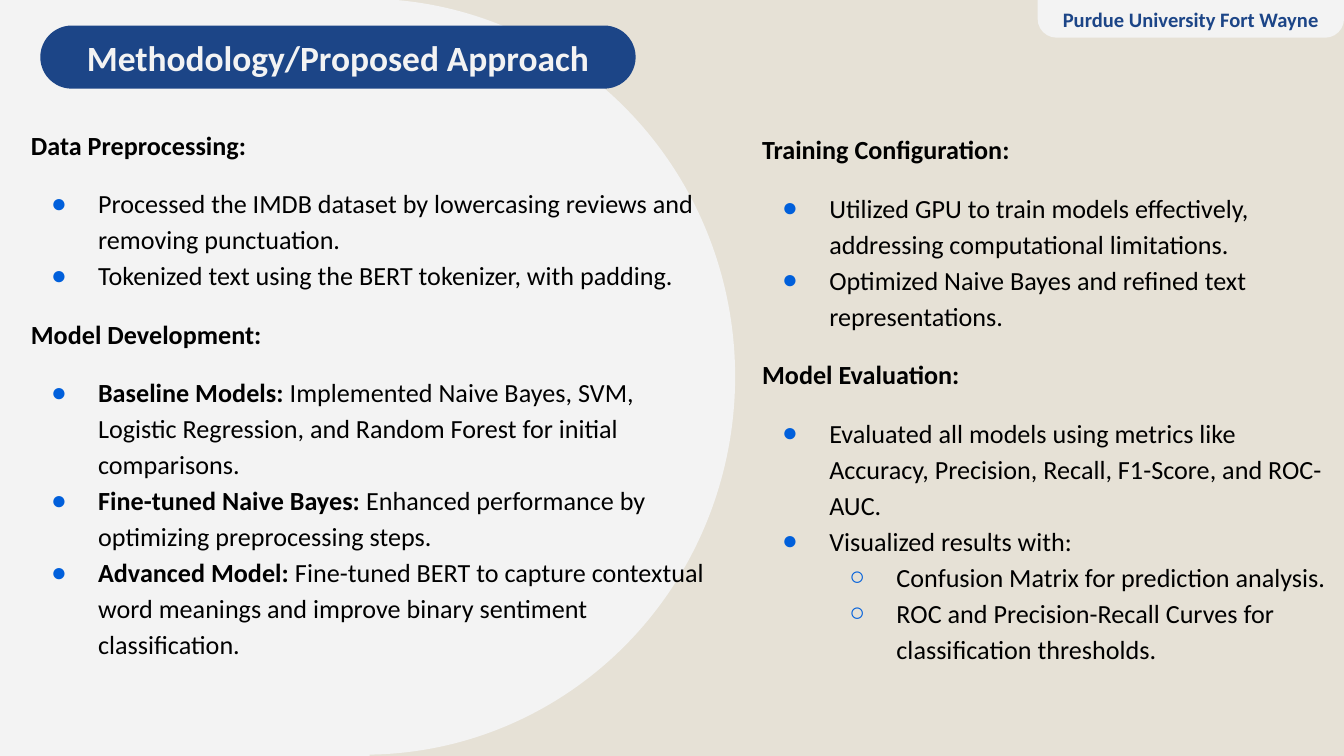
from lxml.etree import SubElement
from pptx import Presentation
from pptx.dml.color import RGBColor
from pptx.enum.shapes import MSO_SHAPE
from pptx.enum.text import MSO_ANCHOR, MSO_AUTO_SIZE, PP_ALIGN
from pptx.oxml.ns import qn
from pptx.util import Inches, Pt

SAND = RGBColor(0xE6, 0xE1, 0xD6)
LIGHT = RGBColor(0xF3, 0xF3, 0xF3)
NAVY = RGBColor(0x1C, 0x45, 0x87)
BLUE = RGBColor(0x00, 0x5F, 0xDB)
BLACK = RGBColor(0x00, 0x00, 0x00)
FONT = "Calibri"
BULLETS = "●○"

# Each entry: level (None for a heading), bold text, plain text
LEFT = [
    (None, "Data Preprocessing:", ""),
    (0, "", "Processed the IMDB dataset by lowercasing reviews and removing punctuation."),
    (0, "", "Tokenized text using the BERT tokenizer, with padding."),
    (None, "Model Development:", ""),
    (0, "Baseline Models:", " Implemented Naive Bayes, SVM, Logistic Regression, "
        "and Random Forest for initial comparisons."),
    (0, "Fine-tuned Naive Bayes:", " Enhanced performance by optimizing preprocessing steps."),
    (0, "Advanced Model:", " Fine-tuned BERT to capture contextual word meanings "
        "and improve binary sentiment classification."),
]
RIGHT = [
    (None, "Training Configuration:", ""),
    (0, "", "Utilized GPU to train models effectively, addressing computational limitations."),
    (0, "", "Optimized Naive Bayes and refined text representations."),
    (None, "Model Evaluation:", ""),
    (0, "", "Evaluated all models using metrics like Accuracy, Precision, Recall, "
        "F1-Score, and ROC-AUC."),
    (0, "", "Visualized results with:"),
    (1, "", "Confusion Matrix for prediction analysis."),
    (1, "", "ROC and Precision-Recall Curves for classification thresholds."),
]


def add_panel(s, kind, box, color):
    sp = s.shapes.add_shape(kind, *map(Inches, box))
    sp.shadow.inherit = False
    sp.fill.solid()
    sp.fill.fore_color.rgb = color
    sp.line.fill.background()
    return sp


def place(sp, box):
    sp.left, sp.top, sp.width, sp.height = map(Inches, box)


def setup_frame(tf, anchor):
    tf.word_wrap = True
    tf.auto_size = MSO_AUTO_SIZE.NONE
    tf.vertical_anchor = anchor
    tf.margin_left = tf.margin_right = tf.margin_top = tf.margin_bottom = Inches(0.1)


def add_run(p, text, size, color, bold):
    r = p.add_run()
    r.text = text
    r.font.name = FONT
    r.font.size = Pt(size)
    r.font.bold = bold
    r.font.color.rgb = color


def add_label(sp, text, size, color):
    setup_frame(sp.text_frame, MSO_ANCHOR.MIDDLE)
    p = sp.text_frame.paragraphs[0]
    p.alignment = PP_ALIGN.CENTER
    add_run(p, text, size, color, True)


def set_bullet(p, level):
    pPr = p._p.get_or_add_pPr()
    if level is None:
        pPr.set("marL", "0")
        pPr.set("indent", "0")
        SubElement(pPr, qn("a:buNone"))
        return
    p.level = level
    pPr.set("marL", str(Inches(0.5 * (level + 1))))
    pPr.set("indent", str(Inches(-0.35)))
    clr = SubElement(pPr, qn("a:buClr"))
    SubElement(clr, qn("a:srgbClr")).set("val", str(BLUE))
    SubElement(pPr, qn("a:buChar")).set("char", BULLETS[level])


def add_background(s, width, height):
    s.background.fill.solid()
    s.background.fill.fore_color.rgb = SAND
    add_panel(s, MSO_SHAPE.RECTANGLE, (0, 0, 1.27, height), LIGHT)
    add_panel(s, MSO_SHAPE.OVAL, (-0.04, -0.01, 5.51, height), LIGHT)
    add_panel(s, MSO_SHAPE.RECTANGLE, (0.57, -0.01, 2.18, height + 0.01), LIGHT)


def add_university_tab(s, box):
    tab = add_panel(s, MSO_SHAPE.ROUND_2_SAME_RECTANGLE, box, LIGHT)
    tab.adjustments[0] = 0.5
    tab.rotation = 180
    label = s.shapes.add_textbox(*map(Inches, box))
    add_label(label, "Purdue University Fort Wayne", 11, NAVY)


def add_title(s, box):
    pill = add_panel(s, MSO_SHAPE.ROUNDED_RECTANGLE, box, NAVY)
    pill.adjustments[0] = 0.5
    title = s.shapes.title
    place(title, box)
    add_label(title, "Methodology/Proposed Approach", 19, LIGHT)
    s.shapes.element.append(title.element)  # bring in front of the pill


def add_column(s, body, box, items, first_spacing):
    place(body, box)
    tf = body.text_frame
    setup_frame(tf, MSO_ANCHOR.TOP)
    previous = None
    for i, (level, lead, text) in enumerate(items):
        p = tf.add_paragraph() if i else tf.paragraphs[0]
        set_bullet(p, level)
        # Gaps open around headings only
        gap = i and (level is None or previous is None)
        p.space_before = Pt(12 if gap else 0)
        p.line_spacing = 1.15 if i else first_spacing
        if lead:
            add_run(p, lead, 14, BLACK, True)
        if text:
            add_run(p, text, 14, BLACK, False)
        previous = level
    s.shapes.element.append(body.element)  # bring in front of the background


def main():
    width = 10
    height = width * 9 / 16
    prs = Presentation()
    prs.slide_width, prs.slide_height = Inches(width), Inches(height)
    s = prs.slides.add_slide(prs.slide_layouts[3])
    left, right = s.placeholders[1], s.placeholders[2]
    add_background(s, width, height)
    add_university_tab(s, (7.72, 0, 2.28, 0.28))
    add_title(s, (0.3, 0.19, 4.43, 0.47))
    add_column(s, left, (0.13, 0.86, 5.27, 4.03), LEFT, 1.0)
    add_column(s, right, (5.57, 0.86, 4.43, 4.38), RIGHT, 1.15)
    prs.save("out.pptx")


if __name__ == "__main__":
    main()
